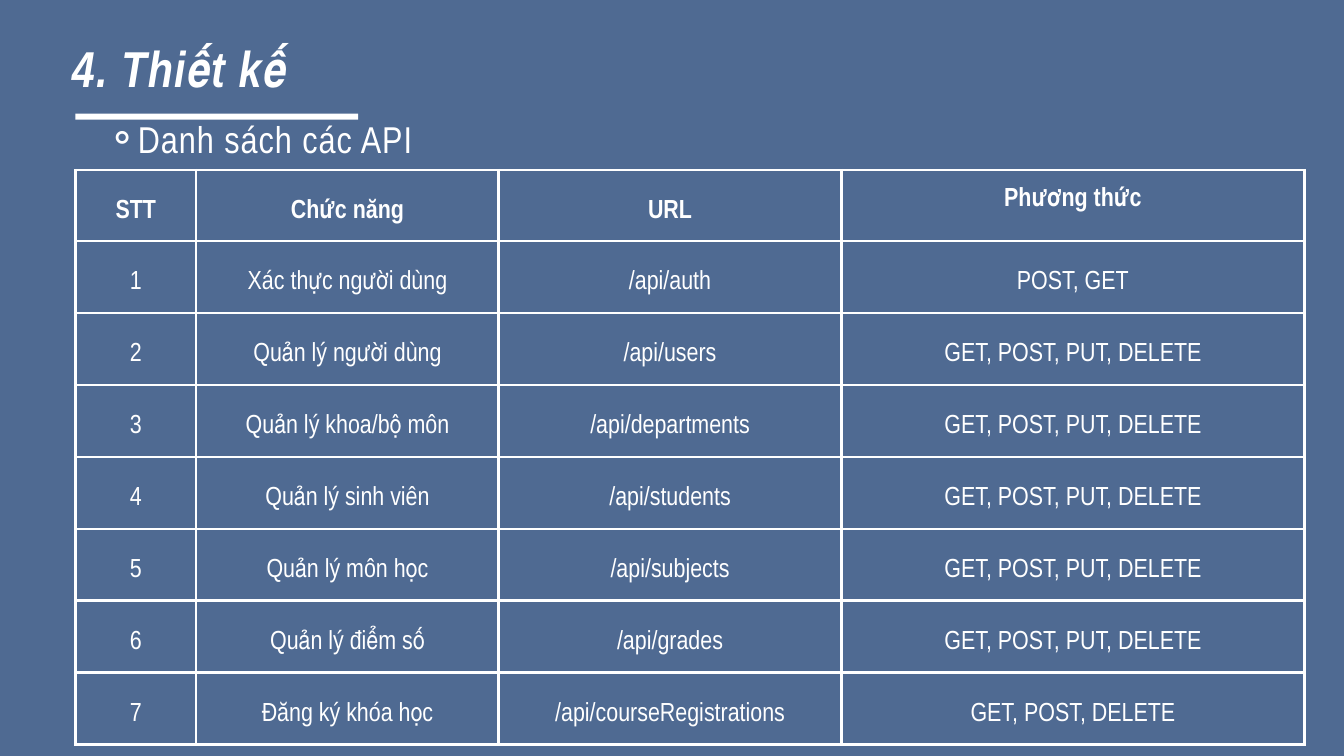
from pptx import Presentation
from pptx.dml.color import RGBColor
from pptx.enum.shapes import MSO_SHAPE
from pptx.enum.text import MSO_ANCHOR, PP_ALIGN
from pptx.oxml import parse_xml
from pptx.oxml.ns import nsdecls
from pptx.util import Inches, Pt

# Content
TITLE = "4. Thiết kế"
SUBTITLE = "Danh sách các API"
HEADERS = ("STT", "Chức năng", "URL", "Phương thức")
CRUD = "GET, POST, PUT, DELETE"
APIS = [
    ("Xác thực người dùng", "/api/auth", "POST, GET"),
    ("Quản lý người dùng", "/api/users", CRUD),
    ("Quản lý khoa/bộ môn", "/api/departments", CRUD),
    ("Quản lý sinh viên", "/api/students", CRUD),
    ("Quản lý môn học", "/api/subjects", CRUD),
    ("Quản lý điểm số", "/api/grades", CRUD),
    ("Đăng ký khóa học", "/api/courseRegistrations", "GET, POST, DELETE"),
]

# Look and grid, in inches and points
FONT, WHITE, BLUE = "Arial Narrow", "FFFFFF", "4F6A92"
LEFT = 1.12
TABLE_TOP = 2.53
COLUMNS = (1.8, 4.5, 5.1, 6.89)
HEADER_HEIGHT, ROW_HEIGHT = 1.06, 1.07
CELL_MARGIN = 0.21


def color(value):
    return RGBColor.from_string(value)


def inches(*values):
    return [Inches(value) for value in values]


def place(shape, *bounds):
    shape.left, shape.top, shape.width, shape.height = inches(*bounds)


def write(frame, text, size, align, line_spacing, bold=False, italic=False, tracking=0):
    frame.text = text
    para = frame.paragraphs[0]
    para.alignment = align
    para.line_spacing = Pt(line_spacing)
    span = para.runs[0]
    span.font.name, span.font.size = FONT, Pt(size)
    span.font.bold, span.font.italic = bold, italic
    span.font.color.rgb = color(WHITE)
    if tracking:
        span.font._element.set("spc", str(round(tracking * 100)))
    return para


def clear_margins(frame):
    frame.margin_left = frame.margin_right = frame.margin_top = frame.margin_bottom = 0
    frame.vertical_anchor = MSO_ANCHOR.TOP
    frame.word_wrap = True


def add_bullet(para, symbol, indent, hanging):
    properties = para._p.get_or_add_pPr()
    properties.set("marL", str(Inches(indent)))
    properties.set("indent", str(-Inches(hanging)))
    properties.append(parse_xml(f'<a:buFont {nsdecls("a")} typeface="Arial"/>'))
    properties.append(parse_xml(f'<a:buChar {nsdecls("a")} char="{symbol}"/>'))


def add_borders(cell, width):
    properties = cell._tc.get_or_add_tcPr()
    for position, side in enumerate(("lnL", "lnR", "lnT", "lnB")):
        properties.insert(position, parse_xml(
            f'<a:{side} {nsdecls("a")} w="{Pt(width)}"><a:solidFill>'
            f'<a:srgbClr val="{WHITE}"/></a:solidFill></a:{side}>'))


def main():
    deck = Presentation()
    deck.slide_width, deck.slide_height = inches(20, 11.25)
    page = deck.slides.add_slide(deck.slide_layouts[5])
    page.background.fill.solid()
    page.background.fill.fore_color.rgb = color(BLUE)

    # Title and the bar under it
    title = page.shapes.title
    place(title, 1.07, 0.48, 8.24, 1.47)
    clear_margins(title.text_frame)
    write(title.text_frame, TITLE, 54, PP_ALIGN.LEFT, 70.2, True, True, 1.3)
    bar = page.shapes.add_shape(MSO_SHAPE.RECTANGLE, *inches(LEFT, 1.69, 4.21, 0.09))
    bar.shadow.inherit = False
    bar.fill.solid()
    bar.fill.fore_color.rgb = color(WHITE)
    bar.line.fill.background()

    # Bulleted subtitle
    box = page.shapes.add_textbox(*inches(0.66, 1.65, 5.74, 0.81))
    clear_margins(box.text_frame)
    para = write(box.text_frame, SUBTITLE, 40, PP_ALIGN.CENTER, 54, tracking=1.1)
    add_bullet(para, "⚬", 1, 0.33)

    # Table of APIs, numbered from 1
    rows = [HEADERS] + [(str(number), *api) for number, api in enumerate(APIS, 1)]
    height = HEADER_HEIGHT + ROW_HEIGHT * len(APIS)
    table = page.shapes.add_table(
        len(rows), len(COLUMNS), *inches(LEFT, TABLE_TOP, sum(COLUMNS), height)).table
    for column, width in zip(table.columns, COLUMNS):
        column.width = Inches(width)
    for r, texts in enumerate(rows):
        table.rows[r].height = Inches(ROW_HEIGHT if r else HEADER_HEIGHT)
        for c, text in enumerate(texts):
            cell = table.cell(r, c)
            cell.fill.background()
            cell.vertical_anchor = MSO_ANCHOR.MIDDLE
            cell.margin_left = cell.margin_right = Inches(CELL_MARGIN)
            cell.margin_top = cell.margin_bottom = Inches(CELL_MARGIN)
            # The last heading has tighter lines and so sits higher
            spacing = 14 if text == HEADERS[-1] else 39.2
            write(cell.text_frame, text, 28, PP_ALIGN.CENTER, spacing, bold=r == 0)
            add_borders(cell, 3)

    deck.save("out.pptx")


if __name__ == "__main__":
    main()
